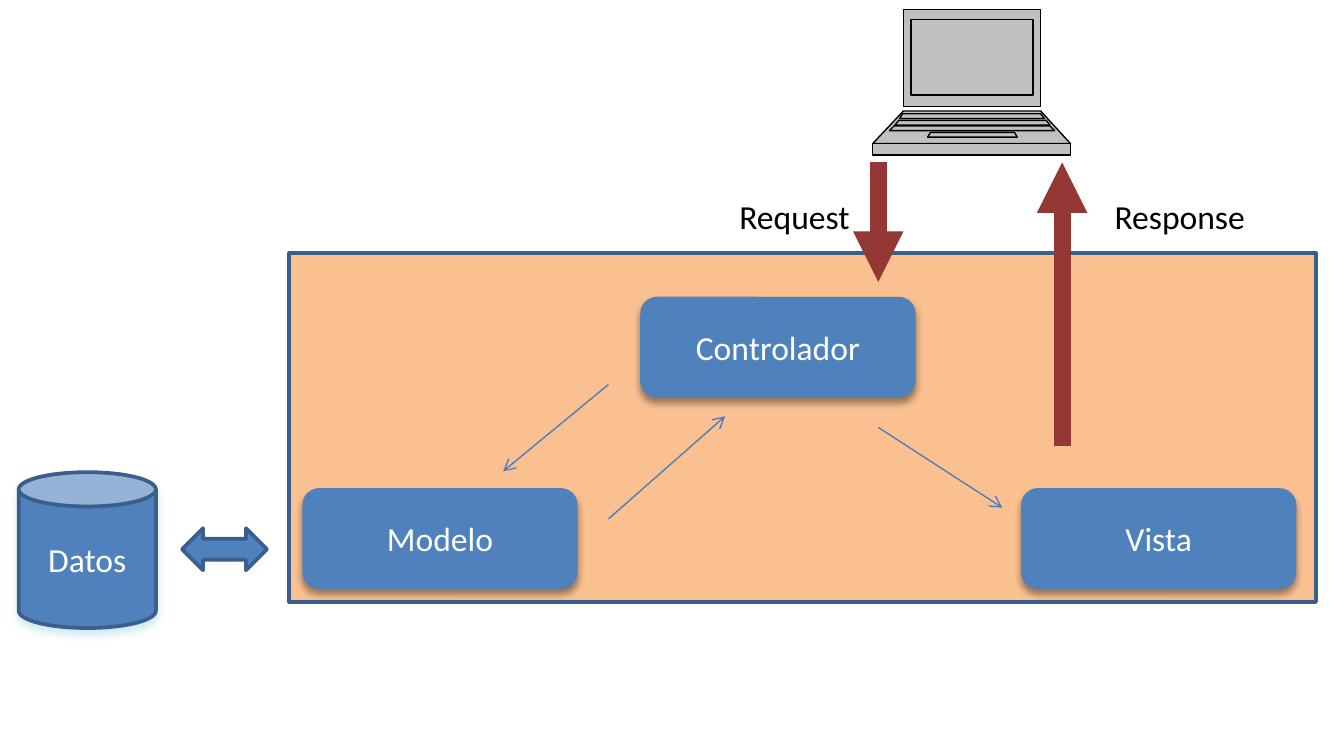
from copy import deepcopy

from lxml.etree import SubElement
from pptx import Presentation
from pptx.dml.color import RGBColor
from pptx.enum.shapes import MSO_CONNECTOR as Connector, MSO_SHAPE as Shape
from pptx.enum.text import MSO_ANCHOR as Anchor, PP_ALIGN as Align
from pptx.oxml.ns import qn
from pptx.util import Pt

COLORS = {
    "blue": "4F81BD", "outline": "3A5F8C", "flow": "4B7EBC",
    "server": "FAC090", "exchange": "953735", "laptop": "C0C0C0",
    "glow": "93CDDD", "black": "000000", "white": "FFFFFF",
}


def rgb(name):
    return RGBColor.from_string(COLORS[name])


class Diagram:
    font = "Calibri"
    size = 18

    def __init__(self, slide):
        self.slide = slide
        self.shapes = slide.shapes

    def set_text(self, shape, text, color, align):
        paragraph = shape.text_frame.paragraphs[0]
        paragraph.text = text
        paragraph.alignment = align
        paragraph.font.name = self.font
        paragraph.font.size = Pt(self.size)
        paragraph.font.color.rgb = rgb(color)

    def paint(self, shape, fill, line=None, width=2.0):
        shape.shadow.inherit = False
        shape.fill.solid()
        shape.fill.fore_color.rgb = rgb(fill)
        if line:
            shape.line.color.rgb = rgb(line)
            shape.line.width = Pt(width)
        else:
            shape.line.fill.background()

    def cast_shadow(self, shape, color):
        effects = shape._element.spPr.find(qn("a:effectLst"))
        shadow = SubElement(effects, qn("a:outerShdw"), blurRad=str(Pt(4)),
                            dist=str(Pt(3)), dir="5400000", rotWithShape="0")
        tint = SubElement(shadow, qn("a:srgbClr"), val=COLORS[color])
        SubElement(tint, qn("a:alpha"), val="40000")

    def block(self, kind, box, fill="blue", line=None, text=None, shadow=None):
        shape = self.shapes.add_shape(kind, *map(Pt, box))
        self.paint(shape, fill, line)
        if shadow:
            self.cast_shadow(shape, shadow)
        if text:
            shape.text_frame.vertical_anchor = Anchor.MIDDLE
            self.set_text(shape, text, "white", Align.CENTER)

    def label(self, text, box):
        shape = self.shapes.add_textbox(*map(Pt, box))
        shape.text_frame.word_wrap = True
        self.set_text(shape, text, "black", Align.LEFT)

    def arrow(self, start, end, color, width, head):
        arrow = self.shapes.add_connector(
            Connector.STRAIGHT, *map(Pt, (*start, *end)))
        arrow.line.color.rgb = rgb(color)
        arrow.line.width = Pt(width)
        properties = arrow._element.spPr
        SubElement(properties.find(qn("a:ln")), qn("a:tailEnd"), type=head)
        SubElement(properties, qn("a:effectLst"))

    def trapezoids(self, parts, fill, line, width):
        """One freeform; each part is top-left x, top-right x,
        bottom-left x, bottom-right x, top y, bottom y."""
        builder = None
        for top_left, top_right, low_left, low_right, top, bottom in parts:
            start = Pt(top_left), Pt(top)
            if builder is None:
                builder = self.shapes.build_freeform(*start)
            else:
                builder.move_to(*start)
            corners = [(top_right, top), (low_right, bottom), (low_left, bottom)]
            builder.add_line_segments([(Pt(x), Pt(y)) for x, y in corners])
        shape = builder.convert_to_shape()
        self.paint(shape, fill, line, width)

        # A contour per part, so that overlapping parts do not cut holes
        contours = shape._element.spPr.find(".//" + qn("a:pathLst"))
        joined = contours[0]
        contours.remove(joined)
        for step in list(joined):
            if step.tag == qn("a:moveTo"):
                single = deepcopy(joined)
                for child in list(single):
                    single.remove(child)
                contours.append(single)
            single.append(step)


def main():
    prs = Presentation()
    prs.slide_width, prs.slide_height = Pt(720), Pt(405)
    diagram = Diagram(prs.slides.add_slide(prs.slide_layouts[6]))

    # Server area
    diagram.block(Shape.RECTANGLE, (155, 135.5, 550, 187), "server", "outline")

    # Client laptop: lid, base, front edge, screen, key rows and touchpad
    diagram.trapezoids([
        (484, 557.5, 484, 557.5, 5, 57),
        (484, 557.5, 467.5, 573.5, 59.5, 77),
        (467.5, 573.5, 467.5, 573.5, 77, 83),
        (488, 553.5, 488, 553.5, 10.5, 51),
        (483.5, 557.5, 482, 559.5, 61, 63.5),
        (498.5, 543.5, 497, 545, 71, 73.5),
        (481.5, 560.5, 479.5, 562.5, 64.5, 67),
        (479, 562.5, 476.5, 565, 67.5, 70),
    ], "laptop", "black", 0.75)

    # Model, view and controller
    for text, left, top in [("Controlador", 343, 159),
                            ("Modelo", 162, 261.5), ("Vista", 547, 261.5)]:
        diagram.block(Shape.ROUNDED_RECTANGLE, (left, top, 147.5, 54),
                      text=text, shadow="black")

    # Calls between the three
    for start, end in [((326, 206), (269.5, 252.5)),
                       ((326, 278), (388.5, 223)),
                       ((470.5, 229), (537, 272))]:
        diagram.arrow(start, end, "flow", 0.75, "arrow")

    # Exchange with the client
    for start, end in [((470.5, 87), (470.5, 151)), ((569, 239), (569, 87))]:
        diagram.arrow(start, end, "exchange", 9, "triangle")
    for text, left in [("Request", 389), ("Response", 590)]:
        diagram.label(text, (left, 101.5, 135, 29))

    # Database and its link to the server
    diagram.block(Shape.CAN, (10, 253, 73.5, 83.5), line="outline",
                  text="Datos", shadow="glow")
    diagram.block(Shape.LEFT_RIGHT_ARROW, (97.5, 283, 45.5, 22.5),
                  line="outline")

    prs.save("out.pptx")


if __name__ == "__main__":
    main()
